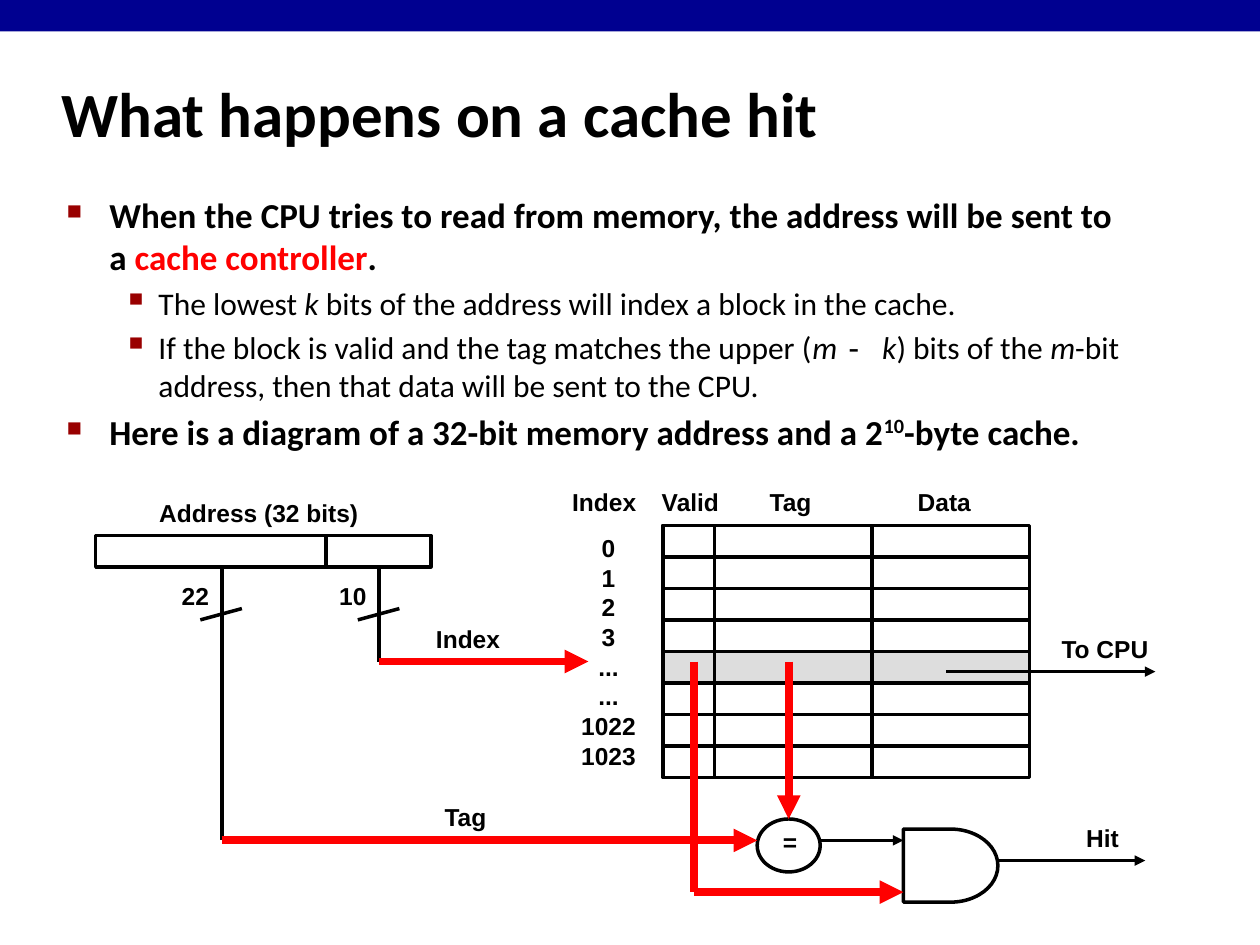
"""Build a slide that explains what happens on a cache hit."""
from dataclasses import dataclass

from lxml import etree
from pptx import Presentation
from pptx.dml.color import RGBColor
from pptx.enum.shapes import MSO_CONNECTOR, MSO_SHAPE
from pptx.enum.text import MSO_ANCHOR, PP_ALIGN
from pptx.oxml.ns import qn
from pptx.util import Inches, Pt

RECTANGLE = MSO_SHAPE.RECTANGLE
ELLIPSE = MSO_SHAPE.OVAL
AND_GATE = MSO_SHAPE.FLOWCHART_DELAY
STRAIGHT = MSO_CONNECTOR.STRAIGHT
CENTER = PP_ALIGN.CENTER
MIDDLE = MSO_ANCHOR.MIDDLE

BLACK, RED, NAVY, MAROON, GRAY = "000000", "FF0000", "000090", "990000", "DDDDDD"
HEADING_FONT, LABEL_FONT, MINUS_FONT = "Calibri", "Arial", "DejaVu Sans Mono"
THIN, THICK = 2, 4.5
ROW_HEIGHT, ROW_COUNT, HIT_ROW = 0.25, 8, 4
CACHE_TOP = 4.17
CACHE_COLUMNS = ((5.26, 0.41), (5.67, 1.25), (6.92, 1.25))


@dataclass(frozen=True)
class Piece:
    """A stretch of text with its own look."""
    text: str
    italic: bool = False
    color: str = BLACK
    font: str = HEADING_FONT
    baseline: int = 0


@dataclass(frozen=True)
class Level:
    """The look of one bullet level."""
    size: float
    bold: bool
    margin: float
    indent: float
    bullet: str
    bullet_percent: int


@dataclass(frozen=True)
class Label:
    """A centred diagram label, one paragraph per line."""
    text: str
    left: float
    top: float
    width: float
    height: float = 0.31


@dataclass(frozen=True)
class Wire:
    """A straight diagram line."""
    start: tuple[float, float]
    end: tuple[float, float]
    color: str = BLACK
    weight: float = THIN
    arrow: bool = True


MAIN = Level(20, True, 0.34, -0.34, "■", 60)
SUB = Level(18, False, 0.73, -0.28, "▪", 110)

BULLETS = (
    (MAIN, (
        Piece("When the CPU tries to read from memory, the address will be sent to a "),
        Piece("cache controller", color=RED),
        Piece("."))),
    (SUB, (
        Piece("The lowest "),
        Piece("k", italic=True),
        Piece(" bits of the address will index a block in the cache."))),
    (SUB, (
        Piece("If the block is valid and the tag matches the upper ("),
        Piece("m ", italic=True),
        Piece("- ", font=MINUS_FONT),
        Piece("k", italic=True),
        Piece(") bits of the "),
        Piece("m", italic=True),
        Piece("-bit address, then that data will be sent to the CPU."))),
    (MAIN, (
        Piece("Here is a diagram of a 32-bit memory address and a 2"),
        Piece("10", baseline=36000),
        Piece("-byte cache."))),
)

LABELS = (
    Label("0\n1\n2\n3\n...\n...\n1022\n1023", 4.51, 4.22, 0.64, 1.93),
    Label("Index", 4.44, 3.84, 0.71),
    Label("Valid", 5.15, 3.84, 0.66),
    Label("Tag", 6.01, 3.84, 0.53),
    Label("Data", 7.18, 3.84, 0.63),
    Label("Address (32 bits)", 1.16, 3.93, 1.79),
    Label("22", 1.34, 4.59, 0.42),
    Label("10", 2.59, 4.59, 0.42),
    Label("Index", 3.36, 4.93, 0.71),
    Label("Tag", 3.43, 6.34, 0.53),
    Label("=", 6.11, 6.54, 0.32),
    Label("To CPU", 8.32, 5.01, 0.9),
    Label("Hit", 8.52, 6.51, 0.46),
)

WIRES = (
    Wire((3.01, 4.5), (3.01, 5.25), arrow=False),
    Wire((3.01, 5.25), (4.67, 5.25), RED, THICK),
    Wire((1.76, 4.5), (1.76, 6.67), arrow=False),
    Wire((1.76, 6.67), (6.01, 6.67), RED, THICK),
    Wire((6.26, 5.25), (6.26, 6.5), RED, THICK),
    Wire((5.51, 5.25), (5.51, 7.08), RED, THICK, False),
    Wire((5.51, 7.08), (7.17, 7.08), RED, THICK),
    Wire((7.51, 5.33), (9.17, 5.33)),
    Wire((6.51, 6.67), (7.17, 6.67)),
    Wire((7.92, 6.83), (9.09, 6.83)),
    Wire((2.84, 4.92), (3.17, 4.83), arrow=False),
    Wire((1.59, 4.92), (1.92, 4.83), arrow=False),
)


def rgb(color: str) -> RGBColor:
    """Turn a hex string into a colour."""
    return RGBColor.from_string(color)


def style_font(font, name: str, size: float, bold: bool, color: str = BLACK) -> None:
    """Set the look of a font."""
    font.name, font.size, font.bold = name, Pt(size), bold
    font.color.rgb = rgb(color)


def set_indent(paragraph, margin: float, indent: float):
    """Set the left margin and hanging indent, and return the properties element."""
    properties = paragraph._p.get_or_add_pPr()
    properties.set("marL", str(Inches(margin)))
    properties.set("indent", str(Inches(indent)))
    return properties


def add_box(slide, kind, left: float, top: float, width: float, height: float,
            fill: str | None = None, line: str | None = BLACK) -> None:
    """Draw a preset shape."""
    shape = slide.shapes.add_shape(kind, Inches(left), Inches(top), Inches(width), Inches(height))
    shape.shadow.inherit = False
    if fill:
        shape.fill.solid()
        shape.fill.fore_color.rgb = rgb(fill)
    else:
        shape.fill.background()
    if line:
        shape.line.color.rgb = rgb(line)
        shape.line.width = Pt(THIN)
    else:
        shape.line.fill.background()


def add_wire(slide, wire: Wire) -> None:
    """Draw a line, with an arrowhead if the wire has one."""
    points = [Inches(value) for value in wire.start + wire.end]
    connector = slide.shapes.add_connector(STRAIGHT, *points)
    connector.line.color.rgb = rgb(wire.color)
    connector.line.width = Pt(wire.weight)
    if wire.arrow:
        etree.SubElement(connector.line._get_or_add_ln(), qn("a:tailEnd"), type="triangle")
    etree.SubElement(connector._element.spPr, qn("a:effectLst"))


def add_frame(slide, left: float, top: float, width: float, height: float, wrap: bool = True):
    """Add a text box and return its text frame."""
    box = slide.shapes.add_textbox(Inches(left), Inches(top), Inches(width), Inches(height))
    box.text_frame.word_wrap = wrap
    return box.text_frame


def add_label(slide, label: Label) -> None:
    """Write a diagram label."""
    frame = add_frame(slide, label.left, label.top, label.width, label.height, wrap=False)
    frame.vertical_anchor = MIDDLE
    frame.text = label.text
    for number, paragraph in enumerate(frame.paragraphs):
        paragraph.alignment = CENTER
        paragraph.line_spacing = 0.9
        paragraph.space_before = Pt(1.8 if number else 0)
        style_font(paragraph.runs[0].font, LABEL_FONT, 14, True)


def add_title(slide, text: str) -> None:
    """Write the slide title."""
    frame = add_frame(slide, 0.39, 0.48, 8.3, 0.83)
    frame.vertical_anchor = MIDDLE
    frame.text = text
    set_indent(frame.paragraphs[0], 0.13, -0.13)
    style_font(frame.paragraphs[0].runs[0].font, HEADING_FONT, 36, True)


def add_bullets(slide) -> None:
    """Write the bulleted text."""
    frame = add_frame(slide, 0.43, 1.49, 8.64, 5.44)
    for number, (level, pieces) in enumerate(BULLETS):
        paragraph = frame.add_paragraph() if number else frame.paragraphs[0]
        properties = set_indent(paragraph, level.margin, level.indent)
        bullet_color = etree.SubElement(properties, qn("a:buClr"))
        etree.SubElement(bullet_color, qn("a:srgbClr"), val=MAROON)
        etree.SubElement(properties, qn("a:buSzPct"), val=str(level.bullet_percent * 1000))
        etree.SubElement(properties, qn("a:buChar"), char=level.bullet)
        paragraph.level = 1 if level is SUB else 0
        paragraph.space_before = Pt(level.size * 0.2 if number else 0)
        for piece in pieces:
            run = paragraph.add_run()
            run.text = piece.text
            style_font(run.font, piece.font, level.size, level.bold, piece.color)
            run.font.italic = piece.italic
            if piece.baseline:
                run._r.get_or_add_rPr().set("baseline", str(piece.baseline))


def add_diagram(slide) -> None:
    """Draw the address, the cache and the hit logic."""
    for row in range(ROW_COUNT):
        for left, width in CACHE_COLUMNS:
            add_box(slide, RECTANGLE, left, CACHE_TOP + row * ROW_HEIGHT, width, ROW_HEIGHT,
                    GRAY if row == HIT_ROW else None)
    for left, width in ((0.76, 1.83), (2.59, 0.83)):
        add_box(slide, RECTANGLE, left, 4.25, width, ROW_HEIGHT)
    add_box(slide, ELLIPSE, 6.01, 6.5, 0.5, 0.42)
    add_box(slide, AND_GATE, 7.17, 6.58, 0.75, 0.58)
    for wire in WIRES:
        add_wire(slide, wire)
    for label in LABELS:
        add_label(slide, label)


def main() -> None:
    """Build and save the presentation."""
    presentation = Presentation()
    presentation.slide_width, presentation.slide_height = Inches(10), Inches(7.5)
    slide = presentation.slides.add_slide(presentation.slide_layouts[6])
    add_box(slide, RECTANGLE, 0, 0, 10, 0.25, NAVY, None)
    add_title(slide, "What happens on a cache hit")
    add_bullets(slide)
    add_diagram(slide)
    presentation.save("out.pptx")


if __name__ == "__main__":
    main()
